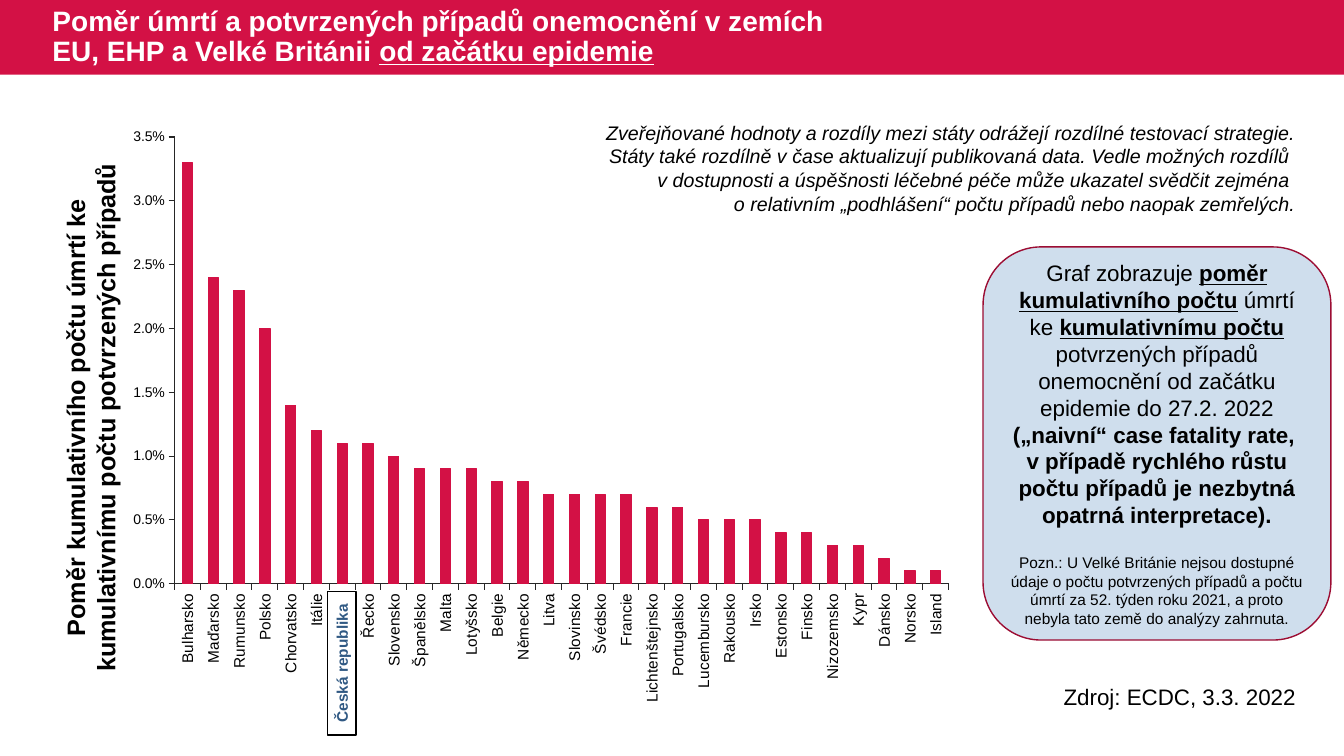
from dataclasses import dataclass

from lxml import etree
from pptx import Presentation
from pptx.chart.data import CategoryChartData
from pptx.dml.color import RGBColor
from pptx.enum.chart import XL_CHART_TYPE, XL_TICK_MARK
from pptx.enum.shapes import MSO_SHAPE
from pptx.enum.text import MSO_ANCHOR, MSO_AUTO_SIZE, PP_ALIGN
from pptx.oxml.ns import qn
from pptx.util import Emu, Pt

COLUMN = XL_CHART_TYPE.COLUMN_CLUSTERED
TICK_NONE, TICK_OUT = XL_TICK_MARK.NONE, XL_TICK_MARK.OUTSIDE
RECTANGLE, ROUNDED = MSO_SHAPE.RECTANGLE, MSO_SHAPE.ROUNDED_RECTANGLE
TOP, MIDDLE = MSO_ANCHOR.TOP, MSO_ANCHOR.MIDDLE
NO_AUTOFIT = MSO_AUTO_SIZE.NONE
LEFT, CENTER, RIGHT = PP_ALIGN.LEFT, PP_ALIGN.CENTER, PP_ALIGN.RIGHT

EMU_PER_PX = 9144
FONT = "Arial"
COLORS = {
    "crimson": "D31145",
    "dark red": "9C0D33",
    "pale blue": "CFDEED",
    "steel blue": "305983",
    "axis": "262626",
    "black": "000000",
    "white": "FFFFFF",
}
DEATH_RATIOS = {
    "Bulharsko": 0.033, "Maďarsko": 0.024, "Rumunsko": 0.023, "Polsko": 0.02,
    "Chorvatsko": 0.014, "Itálie": 0.012, "Česká republika": 0.011, "Řecko": 0.011,
    "Slovensko": 0.01, "Španělsko": 0.009, "Malta": 0.009, "Lotyšsko": 0.009,
    "Belgie": 0.008, "Německo": 0.008, "Litva": 0.007, "Slovinsko": 0.007,
    "Švédsko": 0.007, "Francie": 0.007, "Lichtenštejnsko": 0.006, "Portugalsko": 0.006,
    "Lucembursko": 0.005, "Rakousko": 0.005, "Irsko": 0.005, "Estonsko": 0.004,
    "Finsko": 0.004, "Nizozemsko": 0.003, "Kypr": 0.003, "Dánsko": 0.002,
    "Norsko": 0.001, "Island": 0.001,
}
PLOT_LAYOUT = {"x": 0.068, "y": 0.047, "w": 0.914, "h": 0.745}


@dataclass(frozen=True)
class Box:
    left: int
    top: int
    width: int
    height: int

    def emu(self):
        return [Emu(px * EMU_PER_PX) for px in (self.left, self.top, self.width, self.height)]


@dataclass(frozen=True)
class Words:
    text: str
    bold: bool = False
    underline: bool = False
    italic: bool = False


@dataclass(frozen=True)
class Block:
    words: tuple[Words, ...]
    size: int
    align: PP_ALIGN = LEFT
    color: str = "black"
    space_before: int = 0
    line_spacing: float = 1.0


@dataclass(frozen=True)
class Panel:
    box: Box
    blocks: tuple[Block, ...] = ()
    kind: MSO_SHAPE | None = None
    fill: str = "white"
    line: str | None = None
    rotation: int = 0


BAND = Panel(Box(0, 0, 1333, 74), kind=RECTANGLE, fill="crimson")
TITLE_BOX = Box(42, 0, 816, 74)
TITLE = Block((
    Words("Poměr úmrtí a potvrzených případů onemocnění v zemích EU, EHP a Velké Británii ", bold=True),
    Words("od začátku epidemie", bold=True, underline=True),
), 20, color="white", line_spacing=0.9)
CHART_BOX = Box(116, 108, 840, 595)
SOURCE = Panel(Box(1045, 673, 288, 37), (Block((Words("Zdroj: ECDC, 3.3. 2022"),), 16),))
AXIS_TITLE = Panel(Box(-181, 379, 542, 71), (Block((
    Words("Poměr kumulativního počtu úmrtí ke kumulativnímu počtu potvrzených případů", bold=True),
), 18, CENTER),), rotation=270)
EXPLANATION = Panel(Box(975, 245, 345, 390), (
    Block((
        Words("Graf zobrazuje "),
        Words("poměr kumulativního počtu", bold=True, underline=True),
        Words(" úmrtí ke "),
        Words("kumulativnímu počtu", bold=True, underline=True),
        Words(" potvrzených případů onemocnění od začátku epidemie do 27.2. 2022\n"),
        Words("(„naivní“ case fatality rate, \nv případě rychlého růstu počtu případů "
              "je nezbytná opatrná interpretace).", bold=True),
    ), 16, CENTER),
    Block((
        Words("Pozn.: U Velké Británie nejsou dostupné údaje o počtu potvrzených případů a počtu "
              "úmrtí za 52. týden roku 2021, a proto nebyla tato země do analýzy zahrnuta."),
    ), 11, CENTER, space_before=18),
), kind=ROUNDED, fill="pale blue", line="dark red")
CZECH_LABEL = Panel(Box(268, 644, 142, 28), (
    Block((Words("Česká republika", bold=True),), 11, CENTER, "steel blue"),
), kind=RECTANGLE, line="black", rotation=270)
CAVEAT = Panel(Box(582, 115, 713, 104), (
    Block((
        Words("Zveřejňované hodnoty a rozdíly mezi státy odrážejí rozdílné testovací strategie. "
              "Státy také rozdílně v čase aktualizují publikovaná data. Vedle možných rozdílů \n"
              "v dostupnosti a úspěšnosti léčebné péče může ukazatel svědčit zejména ", italic=True),
    ), 14, RIGHT),
    Block((
        Words("o relativním „podhlášení“ počtu případů nebo naopak zemřelých.", italic=True),
    ), 14, RIGHT),
))


def rgb(name: str) -> RGBColor:
    return RGBColor.from_string(COLORS[name])


def style_font(font, size: int, color: str) -> None:
    font.name = FONT
    font.size = Pt(size)
    font.color.rgb = rgb(color)


def write_blocks(text_frame, blocks: tuple[Block, ...], anchor: MSO_ANCHOR) -> None:
    text_frame.word_wrap = True
    text_frame.auto_size = NO_AUTOFIT
    text_frame.vertical_anchor = anchor
    for index, block in enumerate(blocks):
        paragraph = text_frame.add_paragraph() if index else text_frame.paragraphs[0]
        paragraph.alignment = block.align
        paragraph.space_before = Pt(block.space_before)
        paragraph.line_spacing = block.line_spacing
        for words in block.words:
            for line_index, line in enumerate(words.text.split("\n")):
                if line_index:
                    paragraph.add_line_break()
                if line:
                    run = paragraph.add_run()
                    run.text = line
                    style_font(run.font, block.size, block.color)
                    run.font.bold = words.bold
                    run.font.underline = words.underline
                    run.font.italic = words.italic


def add_panel(slide, panel: Panel):
    if panel.kind is None:
        shape = slide.shapes.add_textbox(*panel.box.emu())
    else:
        shape = slide.shapes.add_shape(panel.kind, *panel.box.emu())
        shape.shadow.inherit = False
        shape.fill.solid()
        shape.fill.fore_color.rgb = rgb(panel.fill)
        if panel.line:
            shape.line.color.rgb = rgb(panel.line)
            shape.line.width = Pt(1)
        else:
            shape.line.fill.background()
    shape.rotation = panel.rotation
    if panel.blocks:
        write_blocks(shape.text_frame, panel.blocks, TOP if panel.kind is None else MIDDLE)
    return shape


def style_axis(axis, label_size: int) -> None:
    axis.has_major_gridlines = False
    axis.major_tick_mark = TICK_OUT
    axis.minor_tick_mark = TICK_NONE
    axis.format.line.color.rgb = rgb("axis")
    axis.format.line.width = Pt(0.75)
    style_font(axis.tick_labels.font, label_size, "black")


def set_plot_layout(chart) -> None:
    plot_area = chart.element.find(".//" + qn("c:plotArea"))
    layout = plot_area.find(qn("c:layout"))
    if layout is None:
        layout = etree.Element(qn("c:layout"))
        plot_area.insert(0, layout)
    manual = etree.SubElement(layout, qn("c:manualLayout"))
    settings = {"layoutTarget": "inner", "xMode": "edge", "yMode": "edge", **PLOT_LAYOUT}
    for name, value in settings.items():
        etree.SubElement(manual, qn(f"c:{name}")).set("val", str(value))


def add_ratio_chart(slide) -> None:
    data = CategoryChartData(number_format="0.0%")
    data.categories = list(DEATH_RATIOS)
    data.add_series("Series 1", list(DEATH_RATIOS.values()))
    chart = slide.shapes.add_chart(COLUMN, *CHART_BOX.emu(), data).chart
    chart.has_title = False
    chart.has_legend = False
    style_font(chart.font, 10, "black")
    style_axis(chart.category_axis, 11)
    style_axis(chart.value_axis, 10)
    label_body = chart.element.find(".//" + qn("c:catAx")).find(".//" + qn("a:bodyPr"))
    label_body.set("rot", "-5400000")
    label_body.set("vert", "horz")
    value_axis = chart.value_axis
    value_axis.minimum_scale, value_axis.maximum_scale = 0, 0.035
    value_axis.major_unit = 0.005
    value_axis.tick_labels.number_format = "0.0%"
    value_axis.tick_labels.number_format_is_linked = False
    plot = chart.plots[0]
    plot.vary_by_categories = False
    plot.gap_width = 150
    bars = plot.series[0].format
    bars.fill.solid()
    bars.fill.fore_color.rgb = rgb("crimson")
    bars.line.color.rgb = rgb("crimson")
    bars.line.width = Pt(0.75)
    set_plot_layout(chart)


def main() -> None:
    presentation = Presentation()
    presentation.slide_width = Emu(1333 * EMU_PER_PX)
    presentation.slide_height = Emu(750 * EMU_PER_PX)
    slide = presentation.slides.add_slide(presentation.slide_layouts[5])
    title = slide.shapes.title
    title.left, title.top, title.width, title.height = TITLE_BOX.emu()
    write_blocks(title.text_frame, (TITLE,), MIDDLE)
    title.element.addprevious(add_panel(slide, BAND).element)
    add_panel(slide, SOURCE)
    add_panel(slide, AXIS_TITLE)
    add_ratio_chart(slide)
    for panel in (EXPLANATION, CZECH_LABEL, CAVEAT):
        add_panel(slide, panel)
    presentation.save("out.pptx")


if __name__ == "__main__":
    main()
